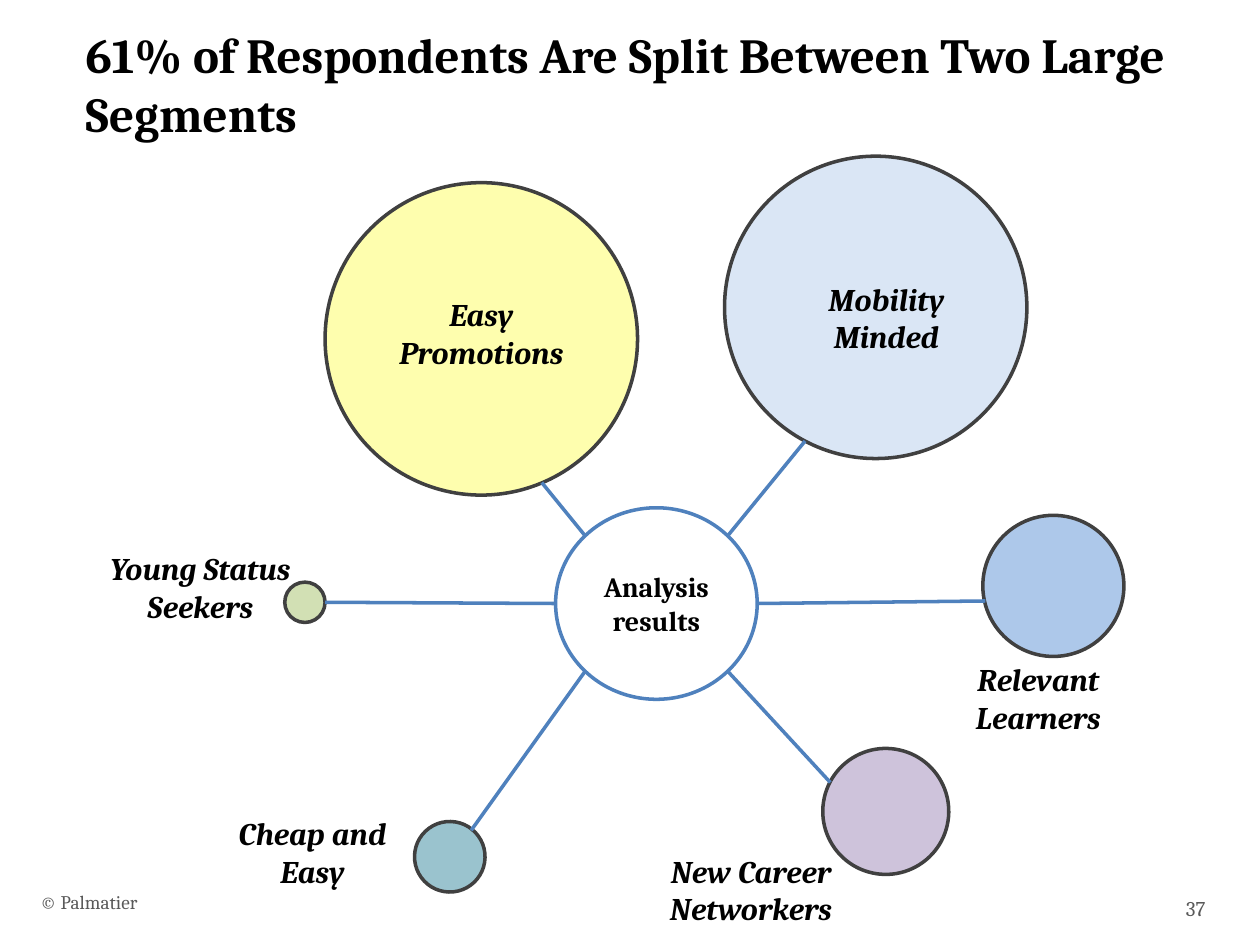
"""Build a hub-and-spoke slide of respondent segments sized by share."""
import math

from lxml import etree
from pptx import Presentation
from pptx import util as u
from pptx.dml.color import RGBColor
from pptx.enum import shapes, text
from pptx.oxml.ns import qn

PX = 9144
FONT = "Cambria"
BLACK, GREY, OUTLINE, BLUE = "000000", "595959", "404040", "4F81BD"

TITLE = "61% of Respondents Are Split Between Two Large Segments"
HUB = ("Analysis results", (441, 403, 160, 152))
SEGMENTS = [
    dict(label="Relevant\nLearners", label_box=(763, 519, 122, 71), wrap=False,
         circle=(780, 409, 112), turn=33, fill="558ED5", opacity=48,
         hub_angle=0, spoke_end=(782, 477)),
    dict(label="New Career\nNetworkers", label_box=(520, 671, 152, 71), wrap=False,
         circle=(653, 594, 100), turn=342.6, fill="B3A2C7", opacity=64,
         hub_angle=45, spoke_end=(659, 621)),
    dict(label="Easy\nPromotions", label_box=(306, 229, 152, 71), wrap=False,
         circle=(258, 145, 248), turn=22.6, fill="FCFC0C", opacity=33,
         hub_angle=225, spoke_end=(430, 383)),
    dict(label="Cheap and Easy", label_box=(158, 641, 180, 71), wrap=True,
         circle=(329, 652, 56), turn=354, fill="31859C", opacity=49,
         hub_angle=135, spoke_end=(374, 659)),
    dict(label="Young Status\nSeekers", label_box=(76, 431, 166, 71), wrap=False,
         circle=(226, 462, 32), turn=0, fill="C3D69B", opacity=74,
         hub_angle=180, spoke_end=(258, 478)),
    dict(label="Mobility Minded", label_box=(617, 217, 173, 71), wrap=True,
         circle=(575, 124, 240), turn=28.1, fill="8EB4E3", opacity=32,
         hub_angle=315, spoke_end=(639, 350)),
]
COPYRIGHT = ("© Palmatier", (22, 702, 670, 40))
PAGE_NUMBER = ("37", (914, 706, 70, 30))


def emu(lengths):
    return [round(length * PX) for length in lengths]


def color(hex_string):
    return RGBColor.from_string(hex_string)


def write(shape, words, size, ink=BLACK, bold=False, italic=False,
          align=text.PP_ALIGN.CENTER, anchor=text.MSO_ANCHOR.TOP, wrap=True):
    frame = shape.text_frame
    frame.text = words
    frame.word_wrap = wrap
    frame.auto_size = text.MSO_AUTO_SIZE.NONE
    frame.vertical_anchor = anchor
    for paragraph in frame.paragraphs:
        paragraph.alignment = align
        for run in paragraph.runs:
            font = run.font
            font.name, font.size = FONT, u.Pt(size)
            font.bold, font.italic = bold, italic
            font.color.rgb = color(ink)


def add_text(slide, words, box, size, **style):
    write(slide.shapes.add_textbox(*emu(box)), words, size, **style)


def add_ellipse(slide, box, fill, outline, opacity=100, turn=0):
    ellipse = slide.shapes.add_shape(shapes.MSO_SHAPE.OVAL, *emu(box))
    ellipse.shadow.inherit = False
    ellipse.rotation = turn
    ellipse.fill.solid()
    ellipse.fill.fore_color.rgb = color(fill)
    ellipse.line.color.rgb = color(outline)
    ellipse.line.width = u.Pt(2)
    if opacity < 100:
        tint = ellipse.fill._xPr.find(qn("a:solidFill"))[0]
        etree.SubElement(tint, qn("a:alpha"), val=str(opacity * 1000))
    return ellipse


def add_spoke(slide, angle, end):
    left, top, width, height = HUB[1]
    turn = math.radians(angle)
    start = (left + width / 2 * (1 + math.cos(turn)),
             top + height / 2 * (1 + math.sin(turn)))
    spoke = slide.shapes.add_connector(
        shapes.MSO_CONNECTOR.STRAIGHT, *emu(start + end))
    spoke.line.color.rgb = color(BLUE)
    spoke.line.width = u.Pt(2)
    etree.SubElement(spoke._element.spPr, qn("a:effectLst"))


def main():
    deck = Presentation()
    deck.slide_width, deck.slide_height = emu((1000, 750))
    slide = deck.slides.add_slide(deck.slide_layouts[5])

    title = slide.shapes.title
    title.left, title.top, title.width, title.height = emu((58, 25, 900, 83))
    write(title, TITLE, 28, bold=True, align=text.PP_ALIGN.LEFT,
          anchor=text.MSO_ANCHOR.MIDDLE)

    for segment in SEGMENTS:
        left, top, diameter = segment["circle"]
        add_ellipse(slide, (left, top, diameter, diameter), segment["fill"],
                    OUTLINE, segment["opacity"], segment["turn"])
    for segment in SEGMENTS:
        add_text(slide, segment["label"], segment["label_box"], 18,
                 bold=True, italic=True, wrap=segment["wrap"])
        add_spoke(slide, segment["hub_angle"], segment["spoke_end"])

    hub_words, hub_box = HUB
    write(add_ellipse(slide, hub_box, "FFFFFF", BLUE), hub_words, 16,
          bold=True, anchor=text.MSO_ANCHOR.MIDDLE)

    add_text(slide, *COPYRIGHT, 11, ink=GREY, align=text.PP_ALIGN.LEFT)
    add_text(slide, *PAGE_NUMBER, 12, ink=GREY, anchor=text.MSO_ANCHOR.MIDDLE)
    deck.save("out.pptx")


if __name__ == "__main__":
    main()
